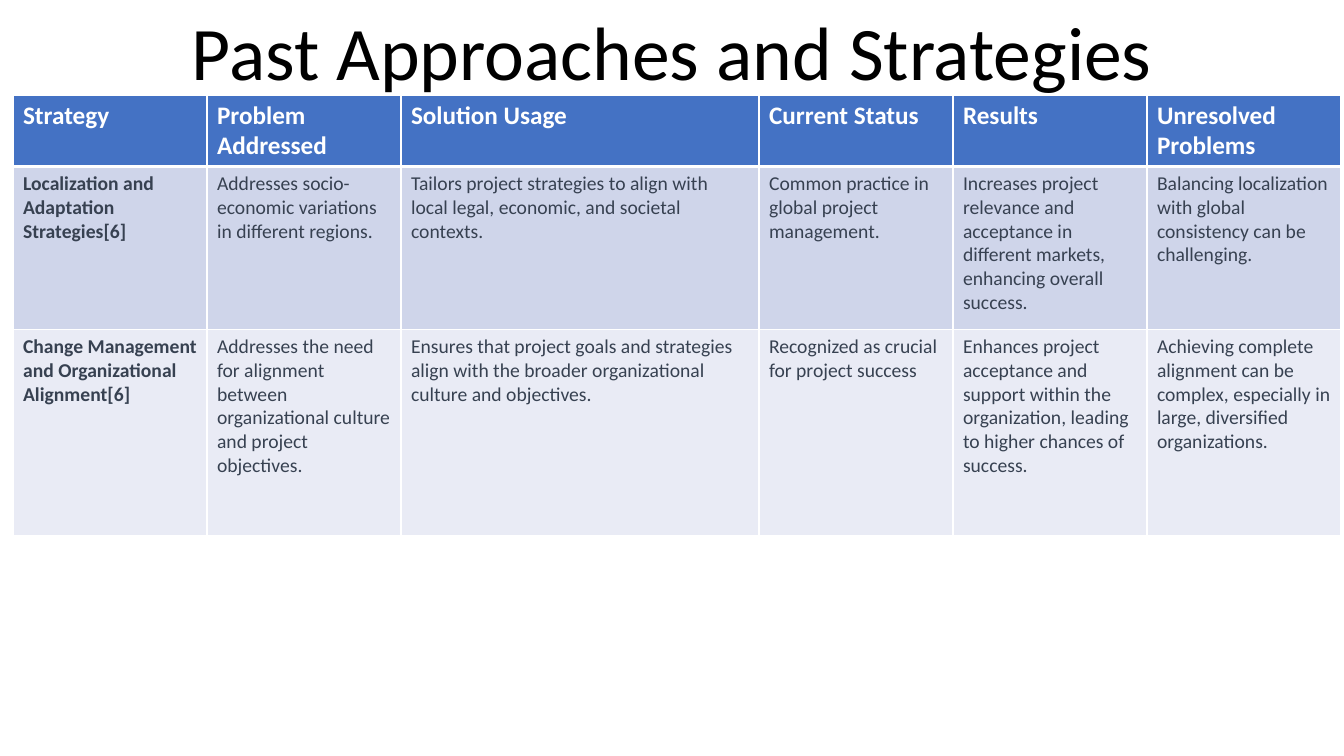
from lxml.etree import SubElement
from pptx import Presentation
from pptx.dml.color import RGBColor
from pptx.enum.text import MSO_ANCHOR, MSO_AUTO_SIZE, PP_ALIGN
from pptx.oxml.ns import qn
from pptx.util import Emu, Pt

SCALE = 914400 / 100.8  # EMU in one px
BLACK = RGBColor(0x00, 0x00, 0x00)
WHITE = RGBColor(0xFF, 0xFF, 0xFF)
SLATE = RGBColor(0x37, 0x41, 0x51)
HEADER_BLUE = RGBColor(0x44, 0x72, 0xC4)
BAND_DARK = RGBColor(0xCF, 0xD5, 0xEA)
BAND_LIGHT = RGBColor(0xE9, 0xEB, 0xF5)

ROWS = [
    ["Strategy", "Problem Addressed\u00a0", "Solution Usage", "Current Status",
     "Results", "Unresolved Problems"],
    ["Localization and Adaptation Strategies[6]",
     "Addresses socio-economic variations in different regions.",
     "Tailors project strategies to align with local legal, economic, and societal contexts.\u00a0",
     "Common practice in global project management.",
     "Increases project relevance and acceptance in different markets, enhancing overall success.\u00a0",
     "Balancing localization with global consistency can be challenging."],
    ["Change Management and Organizational Alignment[6]",
     "Addresses the need for alignment between organizational culture and project objectives.",
     "Ensures that project goals and strategies align with the broader organizational culture and objectives.\u00a0",
     "Recognized as crucial for project success",
     "Enhances project acceptance and support within the organization, leading to higher chances of success.\u00a0",
     "Achieving complete alignment can be complex, especially in large, diversified organizations."],
]
COLUMN_WIDTHS = [194, 194, 358, 194, 194, 194]
ROW_HEIGHTS = [71, 163, 206]
ROW_FILLS = [HEADER_BLUE, BAND_DARK, BAND_LIGHT]


def px(length):
    return Emu(round(length * SCALE))


def write_text(text_frame, text, size, color, bold=False, align=PP_ALIGN.LEFT, spacing=1.0):
    paragraph = text_frame.paragraphs[0]
    paragraph.alignment = align
    paragraph.line_spacing = spacing
    run = paragraph.add_run()
    run.text = text
    run.font.name = "Calibri"
    run.font.size = Pt(size)
    run.font.bold = bold
    run.font.color.rgb = color


presentation = Presentation()
presentation.slide_width, presentation.slide_height = px(1344), px(756)
slide = presentation.slides.add_slide(presentation.slide_layouts[5])

# Title
title = slide.shapes.title
title.left, title.top, title.width, title.height = px(168), px(18), px(1008), px(84)
title.text_frame.auto_size = MSO_AUTO_SIZE.NONE
title.text_frame.vertical_anchor = MSO_ANCHOR.BOTTOM
write_text(title.text_frame, "Past Approaches and Strategies", 54, BLACK,
           align=PP_ALIGN.CENTER, spacing=0.9)

# Strategy table
table = slide.shapes.add_table(
    len(ROWS), len(COLUMN_WIDTHS), px(13), px(95),
    px(sum(COLUMN_WIDTHS)), px(sum(ROW_HEIGHTS))).table
for column, width in zip(table.columns, COLUMN_WIDTHS):
    column.width = px(width)

for row_index, texts in enumerate(ROWS):
    table.rows[row_index].height = px(ROW_HEIGHTS[row_index])
    is_header = row_index == 0
    for column_index, text in enumerate(texts):
        cell = table.cell(row_index, column_index)
        write_text(cell.text_frame, text, 18 if is_header else 14,
                   WHITE if is_header else SLATE, bold=is_header or column_index == 0)

        # White borders, thicker below the header; the schema puts them before the fill
        properties = cell._tc.get_or_add_tcPr()
        border_widths = {"L": 1, "R": 1, "T": 3 if row_index == 1 else 1,
                         "B": 3 if is_header else 1}
        for side, width in border_widths.items():
            border = SubElement(properties, qn(f"a:ln{side}"), w=str(Pt(width)))
            border_fill = SubElement(border, qn("a:solidFill"))
            SubElement(border_fill, qn("a:srgbClr"), val=str(WHITE))
        cell.fill.solid()
        cell.fill.fore_color.rgb = ROW_FILLS[row_index]

presentation.save("out.pptx")
